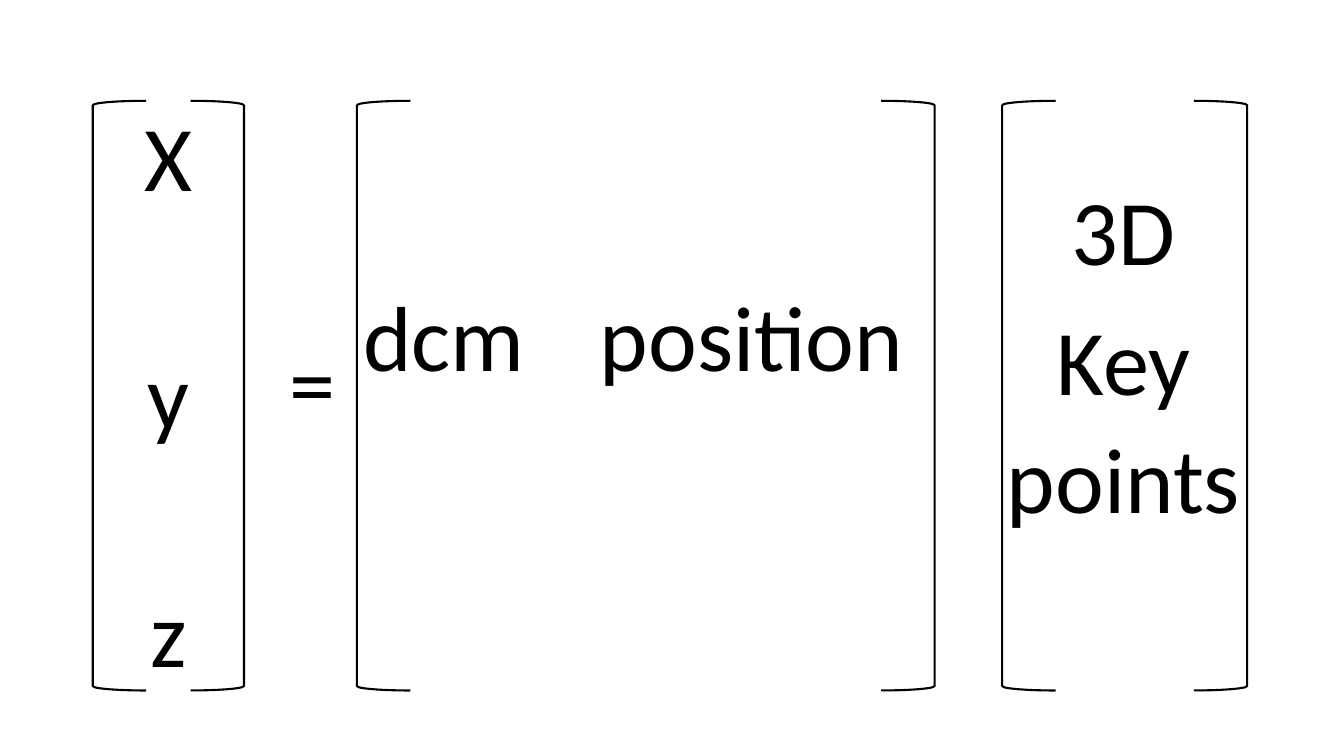
"""Build a slide showing a matrix equation: xyz = [dcm position] [3D key points]."""
from pptx import Presentation
from pptx.dml.color import RGBColor
from pptx.enum.shapes import MSO_SHAPE
from pptx.enum.text import MSO_ANCHOR, PP_ALIGN
from pptx.util import Inches, Pt

BLACK = RGBColor(0, 0, 0)

prs = Presentation()
prs.slide_width, prs.slide_height = Inches(13.33), Inches(7.5)
s = prs.slides.add_slide(prs.slide_layouts[6])

TOP, HEIGHT, ARM = Inches(1), Inches(5.85), Inches(0.53)
for left, right in ((0.92, 2.42), (3.54, 9.27), (9.94, 12.37)):
    for x, shape in ((Inches(left), MSO_SHAPE.LEFT_BRACKET),
                     (Inches(right) - ARM, MSO_SHAPE.RIGHT_BRACKET)):
        sp = s.shapes.add_shape(shape, x, TOP, ARM, HEIGHT)
        sp.shadow.inherit = False
        sp.fill.background()
        sp.line.color.rgb = BLACK
        sp.line.width = Pt(1.5)

ENTRIES = (
    (0.7, 2.93, 1.95, 3.92, 85, ("X", "y", "z")),
    (2.12, 3.49, 1.95, 0.88, 0, ("=",)),
    (3.43, 3.04, 1.95, 0.88, 0, ("dcm",)),
    (5.77, 3.04, 3.37, 0.88, 0, ("position",)),
    (9.46, 4.45, 3.37, 0.88, 8, ("3D", "Key points")),
)
for x, y, w, h, gap, lines in ENTRIES:
    tf = s.shapes.add_textbox(Inches(x), Inches(y), Inches(w), Inches(h)).text_frame
    tf.word_wrap = True
    tf.vertical_anchor = MSO_ANCHOR.BOTTOM
    for i, line in enumerate(lines):
        p = tf.paragraphs[0] if i == 0 else tf.add_paragraph()
        p.alignment = PP_ALIGN.CENTER
        p.line_spacing = 1.07
        p.space_before = Pt(gap if i else 0)
        r = p.add_run()
        r.text = line
        r.font.name = "Calibri"
        r.font.size = Pt(66)
        r.font.color.rgb = BLACK

prs.save("out.pptx")
